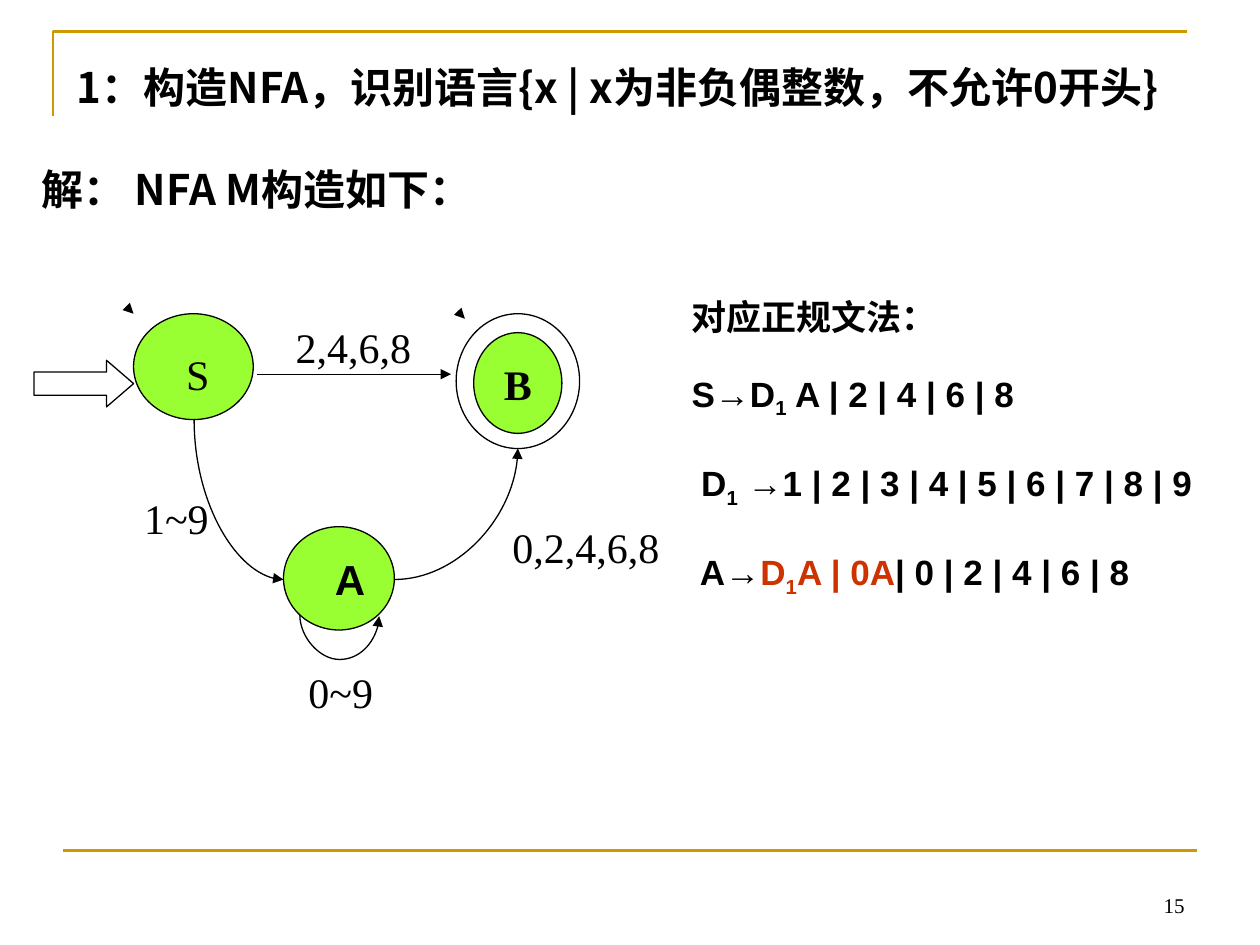
from dataclasses import dataclass

from lxml import etree
from pptx import Presentation
from pptx.dml.color import RGBColor
from pptx.enum.shapes import MSO_CONNECTOR, MSO_SHAPE
from pptx.enum.text import MSO_ANCHOR, MSO_AUTO_SIZE, PP_ALIGN
from pptx.oxml.ns import qn
from pptx.util import Inches, Pt

OVAL, BLOCK_ARROW = MSO_SHAPE.OVAL, MSO_SHAPE.RIGHT_ARROW
STRAIGHT, CURVE = MSO_CONNECTOR.STRAIGHT, MSO_CONNECTOR.CURVE
LEFT, CENTER, RIGHT = PP_ALIGN.LEFT, PP_ALIGN.CENTER, PP_ALIGN.RIGHT
TOP, MIDDLE, BOTTOM = MSO_ANCHOR.TOP, MSO_ANCHOR.MIDDLE, MSO_ANCHOR.BOTTOM


@dataclass(frozen=True)
class Theme:
    """Colours, fonts and type sizes of the deck."""
    ink: RGBColor = RGBColor.from_string("000000")
    paper: RGBColor = RGBColor.from_string("FFFFFF")
    state: RGBColor = RGBColor.from_string("99FF33")
    accent: RGBColor = RGBColor.from_string("CC3300")
    rule: RGBColor = RGBColor.from_string("CC9900")
    serif: str = "Times New Roman"
    sans: str = "Arial"
    cjk: str = "Noto Sans CJK SC"
    large: float = 24
    medium: float = 20
    small: float = 12
    thin: float = 0.75
    thick: float = 1.5


@dataclass(frozen=True)
class Box:
    """A region in inches."""
    left: float
    top: float
    width: float
    height: float

    def inner(self, x, y, width, height):
        """Return a box placed relative to this one."""
        return Box(self.left + x, self.top + y, width, height)

    def lengths(self):
        """Return left, top, width and height as lengths."""
        return [Inches(v) for v in (self.left, self.top, self.width, self.height)]

    def point(self, x, y):
        """Return a point relative to this box as lengths."""
        return Inches(self.left + x), Inches(self.top + y)


THEME = Theme()


def add_span(para, text, font=THEME.serif, size=THEME.large, bold=False,
             color=THEME.ink, sub=False):
    """Append one formatted run to a paragraph."""
    span = para.add_run()
    span.text = text
    span.font.name, span.font.size, span.font.bold = font, Pt(size), bold
    span.font.color.rgb = color
    props = span._r.get_or_add_rPr()
    etree.SubElement(props, qn("a:ea")).set("typeface", THEME.cjk)
    if sub:
        props.set("baseline", "-25000")


def add_label(page, box, text, align=CENTER, anchor=TOP, **style):
    """Add a one-paragraph text box and return the paragraph."""
    frame = page.shapes.add_textbox(*box.lengths()).text_frame
    frame.word_wrap, frame.vertical_anchor = True, anchor
    para = frame.paragraphs[0]
    para.alignment = align
    add_span(para, text, **style)
    return para


def add_solid(page, kind, box, fill):
    """Add a thinly outlined preset shape."""
    shape = page.shapes.add_shape(kind, *box.lengths())
    shape.shadow.inherit = False
    shape.fill.solid()
    shape.fill.fore_color.rgb = fill
    shape.line.color.rgb, shape.line.width = THEME.ink, Pt(THEME.thin)
    return shape


def add_line(page, kind, start, end, color=THEME.ink, width=THEME.thin, arrow=True):
    """Add a connector without shadow, with an optional arrowhead."""
    line = page.shapes.add_connector(kind, *start, *end)
    line.line.color.rgb, line.line.width = color, Pt(width)
    props = line._element.spPr
    if arrow:
        etree.SubElement(props.find(qn("a:ln")), qn("a:tailEnd")).set("type", "triangle")
    etree.SubElement(props, qn("a:effectLst"))
    return line


def bend(line, preset, quarter_turns=0, adjust=None):
    """Give a curved connector its preset, rotation and bulge."""
    props = line._element.spPr
    geometry = props.find(qn("a:prstGeom"))
    geometry.set("prst", preset)
    if quarter_turns:
        props.find(qn("a:xfrm")).set("rot", str(quarter_turns * 5400000))
    if adjust:
        guides = geometry.find(qn("a:avLst"))
        if guides is None:
            guides = etree.SubElement(geometry, qn("a:avLst"))
        guide = etree.SubElement(guides, qn("a:gd"))
        guide.set("name", "adj1")
        guide.set("fmla", f"val {adjust}")


def build_frame(page, box):
    """Draw the corner rule, the bottom rule and the page number."""
    pen = page.shapes.build_freeform(*box.point(0, 0.67))
    pen.add_line_segments([box.point(0, 0), box.point(9, 0)], close=False)
    corner = pen.convert_to_shape()
    corner.shadow.inherit = False
    corner.fill.background()
    corner.line.color.rgb, corner.line.width = THEME.rule, Pt(THEME.thick)
    add_line(page, STRAIGHT, box.point(0.08, 6.5), box.point(9.08, 6.5),
             THEME.rule, THEME.thick, arrow=False)
    add_label(page, box.inner(6.75, 6.58, 2.33, 0.5), "15", RIGHT, BOTTOM, size=THEME.small)


def build_heading(page, box):
    """Fill the title with the question and put the answer's lead-in below."""
    title = page.shapes.title
    title.left, title.top, title.width, title.height = box.lengths()
    frame = title.text_frame
    frame.word_wrap, frame.auto_size, frame.vertical_anchor = True, MSO_AUTO_SIZE.NONE, TOP
    question = frame.paragraphs[0]
    question.alignment = LEFT
    add_span(question, "1：构造NFA，识别语言{x | x为非负偶整数，不允许0开头}",
             font=THEME.cjk, bold=True)
    answer = add_label(page, box.inner(-0.28, 0.81, 9.38, 0.5), "解： NFA M构造如下：",
                       LEFT, font=THEME.cjk, bold=True)
    for para in (question, answer):
        para.line_spacing = Pt(28.8)


def build_automaton(page, box):
    """Draw the states, transitions and labels of the NFA."""
    entry = add_solid(page, BLOCK_ARROW, box.inner(0, 0.37, 0.79, 0.37), THEME.paper)
    entry.adjustments[1] = 0.58
    add_solid(page, OVAL, box.inner(0.79, 0, 0.95, 0.84), THEME.state)
    add_solid(page, OVAL, box.inner(3.35, 0, 0.98, 1.07), THEME.paper)
    add_solid(page, OVAL, box.inner(3.49, 0.15, 0.7, 0.8), THEME.state)
    state_a = add_solid(page, OVAL, box.inner(1.98, 1.69, 0.88, 0.82), THEME.state)
    frame = state_a.text_frame
    frame.margin_left, frame.margin_right = Inches(0.28), 0
    frame.vertical_anchor = MIDDLE
    frame.paragraphs[0].alignment = LEFT
    add_span(frame.paragraphs[0], "A", font=THEME.sans, bold=True)

    for x, y in ((0.79, 0), (3.42, 0.04)):
        add_line(page, STRAIGHT, box.point(x - 0.01, y - 0.01), box.point(x, y))
    add_line(page, STRAIGHT, box.point(1.77, 0.48), box.point(3.31, 0.48))
    s_to_a = add_line(page, CURVE, box.point(2.26, 1.12), box.point(0.99, 1.83))
    bend(s_to_a, "curvedConnector2", 3)
    a_to_b = add_line(page, CURVE, box.point(2.86, 2.11), box.point(3.84, 1.07))
    bend(a_to_b, "curvedConnector2")
    a_loop = add_line(page, CURVE, box.point(2.43, 2.08), box.point(2.42, 2.71))
    bend(a_loop, "curvedConnector3", 3, 3600000)

    for text, place in (("S", (0.91, 0.23, 0.78, 0.65)),
                        ("1~9", (0.63, 1.37, 1, 0.5)),
                        ("0,2,4,6,8", (3.63, 1.6, 1.5, 0.5)),
                        ("2,4,6,8", (1.96, 0.01, 1.15, 0.5)),
                        ("0~9", (1.75, 2.75, 1.37, 0.5))):
        add_label(page, box.inner(*place), text)
    add_label(page, box.inner(3.63, 0.31, 0.49, 0.5), "B", LEFT, bold=True)


def build_grammar(page, box):
    """List the rules of the matching regular grammar."""
    sub, red = {"sub": True}, {"color": THEME.accent}
    rules = (
        (("对应正规文法：", {}),),
        (("S→D", {}), ("1", sub), (" A | 2 | 4 | 6 | 8", {})),
        ((" ", {"bold": False}), ("D", {}), ("1", sub),
         (" →1 | 2 | 3 | 4 | 5 | 6 | 7 | 8 | 9", {})),
        ((" A→", {}), ("D", red), ("1", sub | red), ("A | 0A", red),
         ("| 0 | 2 | 4 | 6 | 8", {})),
    )
    frame = page.shapes.add_textbox(*box.lengths()).text_frame
    frame.word_wrap = True
    for index, rule in enumerate(rules):
        para = frame.add_paragraph() if index else frame.paragraphs[0]
        para.line_spacing = Pt(26)
        para.space_after = Pt(25 if index else 21)
        for text, style in rule:
            add_span(para, text, **({"font": THEME.sans, "size": THEME.medium,
                                     "bold": True} | style))


def main():
    """Build the slide and save the deck."""
    deck = Presentation()
    deck.slide_width, deck.slide_height = Inches(10), Inches(7.5)
    page = deck.slides.add_slide(deck.slide_layouts[5])
    build_frame(page, Box(0.42, 0.25, 9.08, 7.08))
    build_heading(page, Box(0.51, 0.44, 9.21, 0.9))
    build_automaton(page, Box(0.27, 2.49, 5.13, 3.25))
    build_grammar(page, Box(5.39, 2.27, 4.37, 2.93))
    deck.save("out.pptx")


if __name__ == "__main__":
    main()
